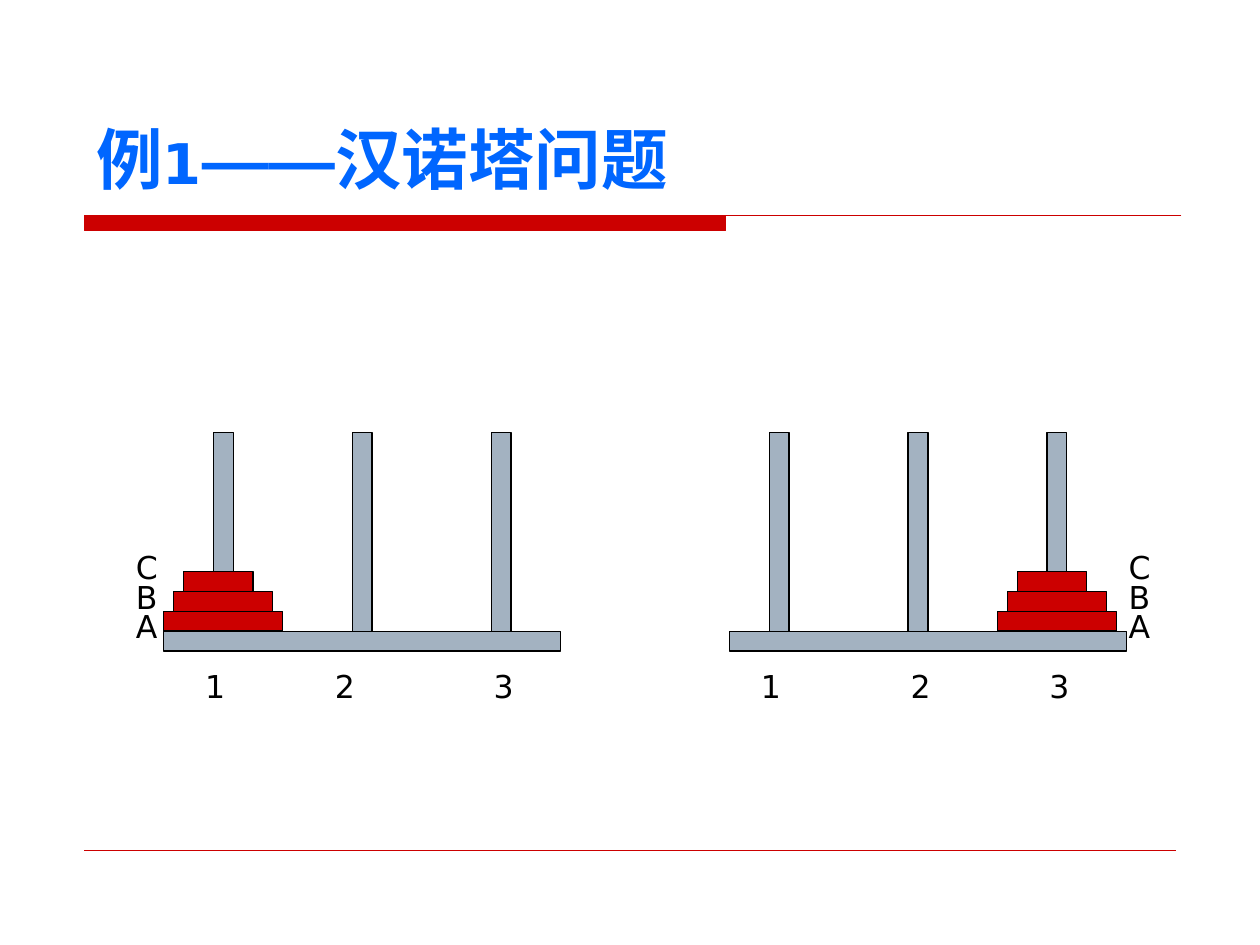
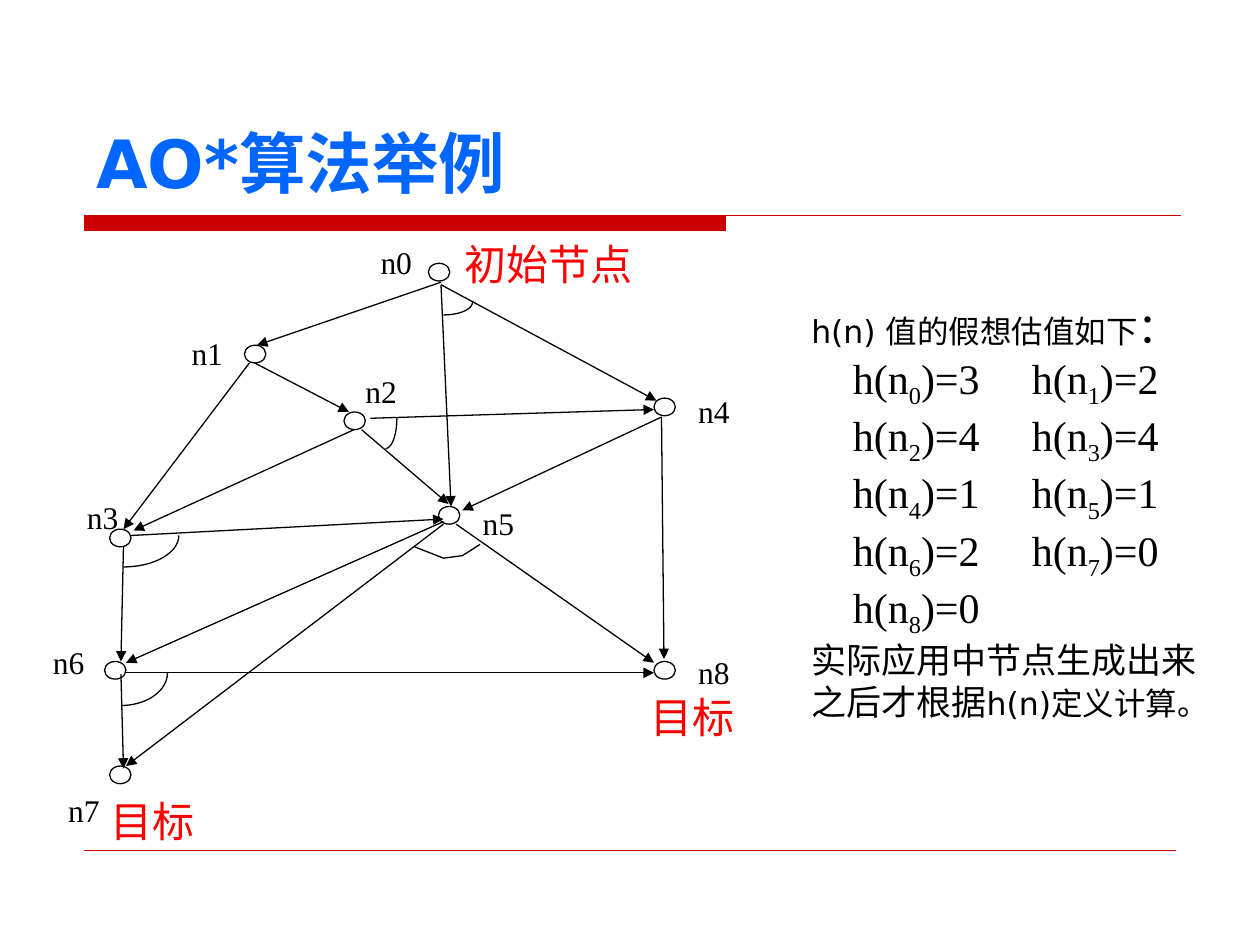
from math import cos, pi, sin

from lxml import etree
from pptx import Presentation
from pptx.dml.color import RGBColor
from pptx.enum.shapes import MSO_CONNECTOR, MSO_SHAPE
from pptx.enum.text import MSO_ANCHOR, PP_ALIGN
from pptx.oxml.ns import qn
from pptx.util import Inches, Pt

RECTANGLE, OVAL = MSO_SHAPE.RECTANGLE, MSO_SHAPE.OVAL
STRAIGHT = MSO_CONNECTOR.STRAIGHT
LEFT, CENTER = PP_ALIGN.LEFT, PP_ALIGN.CENTER
TOP, MIDDLE, BOTTOM = MSO_ANCHOR.TOP, MSO_ANCHOR.MIDDLE, MSO_ANCHOR.BOTTOM

COLUMNS, ROWS = 100, 75
ARC_STEPS = 16
SANS, SERIF, DASH_FONT = "DejaVu Sans", "Times New Roman", "Arial"
RED, BLUE, STEEL, BLACK, MARK = "CC0000", "0066FF", "A3B2C1", "000000", "FF0000"
TITLE = dict(size=38, font=SANS, color=BLUE, bold=True)
LABEL = dict(size=18, font=SANS)
NODE_LABEL = dict(size=18, font=SERIF)
NODE_MARK = dict(size=24, font=SERIF, color=MARK)
FORMULA = dict(size=24, font=SERIF)


def rgb(color):
    return RGBColor.from_string(color)


def write(paragraph, text, size=18, font=SANS, color=BLACK, bold=False, baseline=0):
    run = paragraph.add_run()
    run.text = text
    run.font.size = Pt(size)
    run.font.name = font
    run.font.bold = bold
    run.font.color.rgb = rgb(color)
    properties = run.font._element
    etree.SubElement(properties, qn("a:ea")).set("typeface", SANS)
    if baseline:
        properties.set("baseline", str(baseline * 1000))


class Deck:
    def __init__(self):
        self.presentation = Presentation()
        self.presentation.slide_width = Inches(10)
        self.presentation.slide_height = Inches(7.5)
        self.slide = None

    def x(self, columns):
        return round(self.presentation.slide_width * columns / COLUMNS)

    def y(self, rows):
        return round(self.presentation.slide_height * rows / ROWS)

    def box(self, left, top, width, height):
        return self.x(left), self.y(top), self.x(width), self.y(height)

    def add_slide(self, title_box, title_runs):
        first = self.slide is None
        layout = self.presentation.slide_layouts[5]
        self.slide = self.presentation.slides.add_slide(layout)
        if first:
            self.add_master_bands()
        title = self.slide.shapes.title
        title.left, title.top, title.width, title.height = self.box(*title_box)
        title.text_frame.vertical_anchor = BOTTOM
        paragraph = title.text_frame.paragraphs[0]
        paragraph.alignment = LEFT
        for text, changes in title_runs:
            write(paragraph, text, **{**TITLE, **changes})

    def add_master_bands(self):
        header = ((6.7, 17.1), (93.7, 17.1), (57.6, 17.1), (57.6, 18.3), (6.7, 18.3))
        bands = (
            self.outline(header, fill=RED, line=RED, close=True),
            self.line((6.7, 67.5), (93.3, 67.5), color=RED, width=0.25),
        )
        tree = self.presentation.slide_master.shapes._spTree
        for position, band in enumerate(bands, 2):
            tree.insert(position, band._element)

    def paint(self, shape, fill, line):
        shape.shadow.inherit = False
        if fill:
            shape.fill.solid()
            shape.fill.fore_color.rgb = rgb(fill)
        else:
            shape.fill.background()
        shape.line.color.rgb = rgb(line)
        shape.line.width = Pt(0.75)

    def shape(self, kind, left, top, width, height, fill=None, line=BLACK):
        shape = self.slide.shapes.add_shape(kind, *self.box(left, top, width, height))
        self.paint(shape, fill, line)
        return shape

    def outline(self, points, fill=None, line=BLACK, close=False):
        corners = [(self.x(column), self.y(row)) for column, row in points]
        builder = self.slide.shapes.build_freeform(*corners[0])
        builder.add_line_segments(corners[1:], close=close)
        shape = builder.convert_to_shape()
        self.paint(shape, fill, line)
        return shape

    def arc(self, left, top, width, height):
        angles = [step * pi / 2 / ARC_STEPS for step in range(ARC_STEPS + 1)]
        self.outline([(left + width * sin(angle), top + height * cos(angle))
                      for angle in angles])

    def line(self, start, end, color=BLACK, width=0.75, arrow=False):
        connector = self.slide.shapes.add_connector(
            STRAIGHT, self.x(start[0]), self.y(start[1]), self.x(end[0]), self.y(end[1]))
        connector.line.color.rgb = rgb(color)
        connector.line.width = Pt(width)
        if arrow:
            outline = connector.line._get_or_add_ln()
            etree.SubElement(outline, qn("a:tailEnd")).set("type", "triangle")
        etree.SubElement(connector._element.spPr, qn("a:effectLst"))
        return connector

    def text_frame(self, left, top, width, height, anchor=TOP, wrap=True):
        box = self.slide.shapes.add_textbox(*self.box(left, top, width, height))
        box.text_frame.word_wrap = wrap
        box.text_frame.vertical_anchor = anchor
        return box.text_frame

    def label(self, text, left, top, width, height=4, align=LEFT, anchor=TOP,
              wrap=True, **style):
        frame = self.text_frame(left, top, width, height, anchor, wrap)
        frame.paragraphs[0].alignment = align
        write(frame.paragraphs[0], text, **style)

    def node_label(self, text, left, top, width=4.5, height=4, **style):
        self.label(text, left, top, width, height, CENTER, MIDDLE, False, **style)

    def tabs(self, paragraph, stops):
        tab_list = etree.SubElement(paragraph._p.get_or_add_pPr(), qn("a:tabLst"))
        for stop in stops:
            tab = etree.SubElement(tab_list, qn("a:tab"))
            tab.set("pos", str(self.x(stop)))
            tab.set("algn", "l")


def draw_towers(deck, left, pole_left, disc_left, number_lefts, letter_left):
    unit, base_top = 1.575, 50.1
    deck.shape(RECTANGLE, left, base_top, 20 * unit, unit, STEEL)
    for pole in range(3):
        deck.shape(RECTANGLE, left + (pole_left + 7 * pole) * unit,
                   base_top - 10 * unit, unit, 10 * unit, STEEL)
    for level, width in enumerate((6, 5, 3.5)):
        deck.shape(RECTANGLE, left + (disc_left + level / 2) * unit,
                   base_top - (level + 1) * unit, width * unit, unit, RED)
    for number, number_left in enumerate(number_lefts, 1):
        deck.label(str(number), number_left, 52.45, 4.7, **LABEL)
    for level, letter in enumerate("ABC"):
        deck.label(letter, letter_left, 47.7 - 2.35 * level, 3.1, **LABEL)


def build_hanoi(deck):
    deck.add_slide((6.65, 9.1, 86.6, 7.1), [
        ("例", {}), ("1", dict(size=32)),
        ("——", dict(font=DASH_FONT)), ("汉诺塔问题", {})])
    draw_towers(deck, 13, 2.5, 0, (15.3, 25.6, 38.2), 9.8)
    draw_towers(deck, 57.9, 2, 13.5, (59.4, 71.3, 82.3), 88.6)


def write_estimates(deck):
    frame = deck.text_frame(63.4, 23.4, 33.9, 34.5, MIDDLE)
    heading = frame.paragraphs[0]
    write(heading, "h(n) 值的假想估值如下", **LABEL)
    write(heading, "：", **FORMULA)
    estimates = list(enumerate((3, 2, 4, 4, 1, 1, 2, 0, 0)))
    for first in range(0, len(estimates), 2):
        paragraph = frame.add_paragraph()
        deck.tabs(paragraph, (3.3, 17.5))
        for node, value in estimates[first:first + 2]:
            write(paragraph, "\th(n", **FORMULA)
            write(paragraph, str(node), baseline=-25, **FORMULA)
            write(paragraph, f")={value}", **FORMULA)
    remark = frame.add_paragraph()
    remark._p.get_or_add_pPr().set("hangingPunct", "0")
    write(remark, "实际应用中节点生成出来之后才根据", size=20, font=SERIF)
    write(remark, "h(n)定义计算。", **LABEL)


def build_search_graph(deck):
    deck.add_slide((6.65, 7.55, 85, 9), [("AO*算法举例", {})])
    write_estimates(deck)
    nodes = (
        ((34, 20.9), (29.2, 18.8)), ((19.4, 27.4), (14.2, 26)),
        ((27.3, 32.7), (28, 29)), ((8.7, 42), (5.9, 39)),
        ((51.9, 31.6), (54.4, 30.6)), ((34.8, 40.2), (37.3, 39.5)),
        ((8.3, 52.5), (3.2, 50.5)), ((8.7, 60.8), (4.4, 62.3)),
        ((51.9, 52.5), (54.4, 51.3)))
    arrows = (
        ((35, 22.4), (20.4, 27.4)), ((35, 22.6), (35.8, 40.2)),
        ((35, 22.6), (52.1, 31.8)), ((19.8, 28.8), (9.8, 42)),
        ((20.2, 28.8), (27.7, 32.7)), ((28.7, 34.1), (35.6, 40)),
        ((29.4, 33.2), (51.9, 32.5)), ((10.4, 42.5), (35.2, 41.2)),
        ((9.8, 43.4), (9.6, 52.5)), ((52.5, 33.1), (36.7, 40.5)),
        ((52.5, 33.1), (52.7, 52.3)), ((35.2, 41.4), (10, 52.6)),
        ((35.2, 41.6), (10, 60.8)), ((36.2, 41.6), (51.9, 52.6)),
        ((10, 53.4), (51.9, 53.4)), ((9.6, 53.5), (9.8, 61)),
        ((28.1, 34.1), (10.6, 42.1)))
    and_arcs = (
        (35.2, 24, 2.3, 1), (30.6, 33.2, 0.9, 2.4),
        (9.8, 42.5, 4.4, 2.5), (9.6, 53.4, 3.7, 2.6))
    marks = (
        ("目标", 7.6, 62.6, 9), ("目标", 50.5, 54.4, 9),
        ("初始节点", 35.7, 18.4, 15.7))
    for number, (corner, label_corner) in enumerate(nodes):
        deck.shape(OVAL, *corner, 1.7, 1.4)
        deck.node_label(f"n{number}", *label_corner, **NODE_LABEL)
    for start, end in arrows:
        deck.line(start, end, arrow=True)
    for arc in and_arcs:
        deck.arc(*arc)
    deck.outline(((32.9, 43.4), (35.2, 44.3), (36.7, 44.1), (38.1, 43.2)))
    for text, left, top, width in marks:
        deck.node_label(text, left, top, width, 5, **NODE_MARK)


def main():
    deck = Deck()
    build_hanoi(deck)
    build_search_graph(deck)
    deck.presentation.save("out.pptx")


if __name__ == "__main__":
    main()
